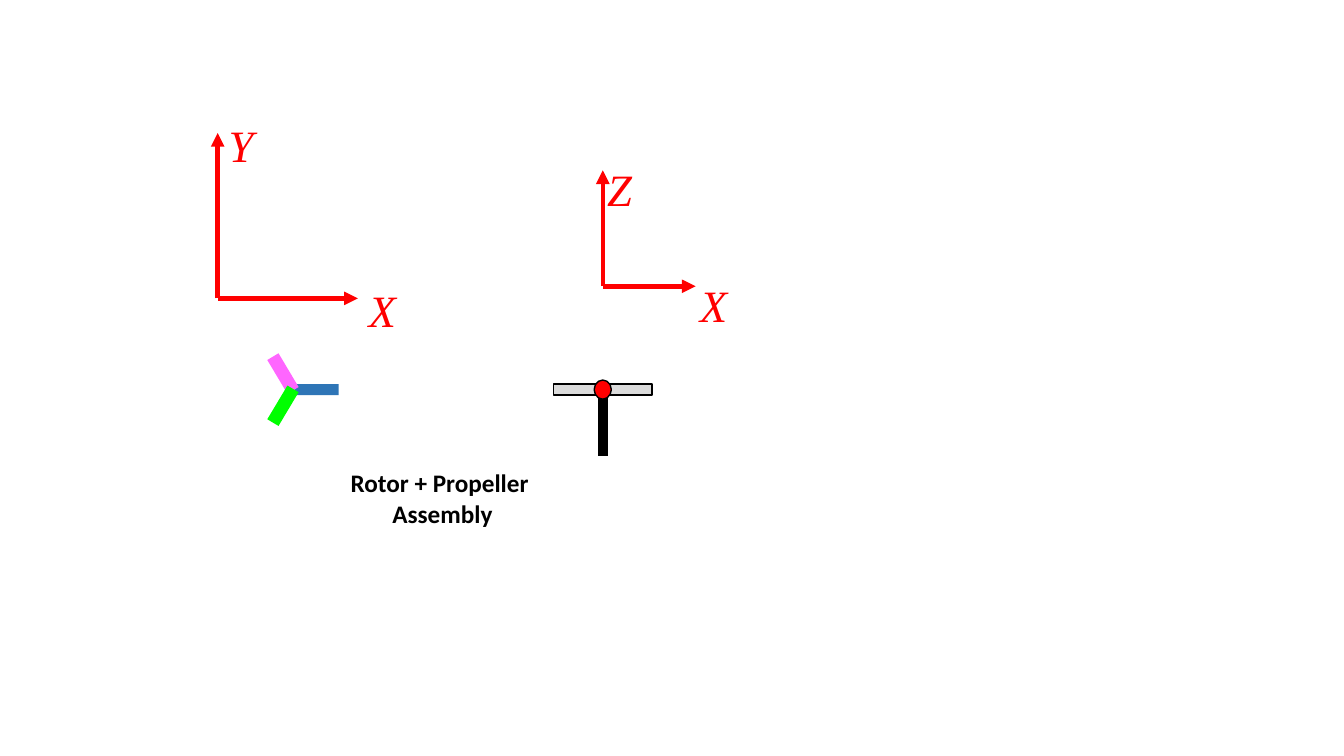
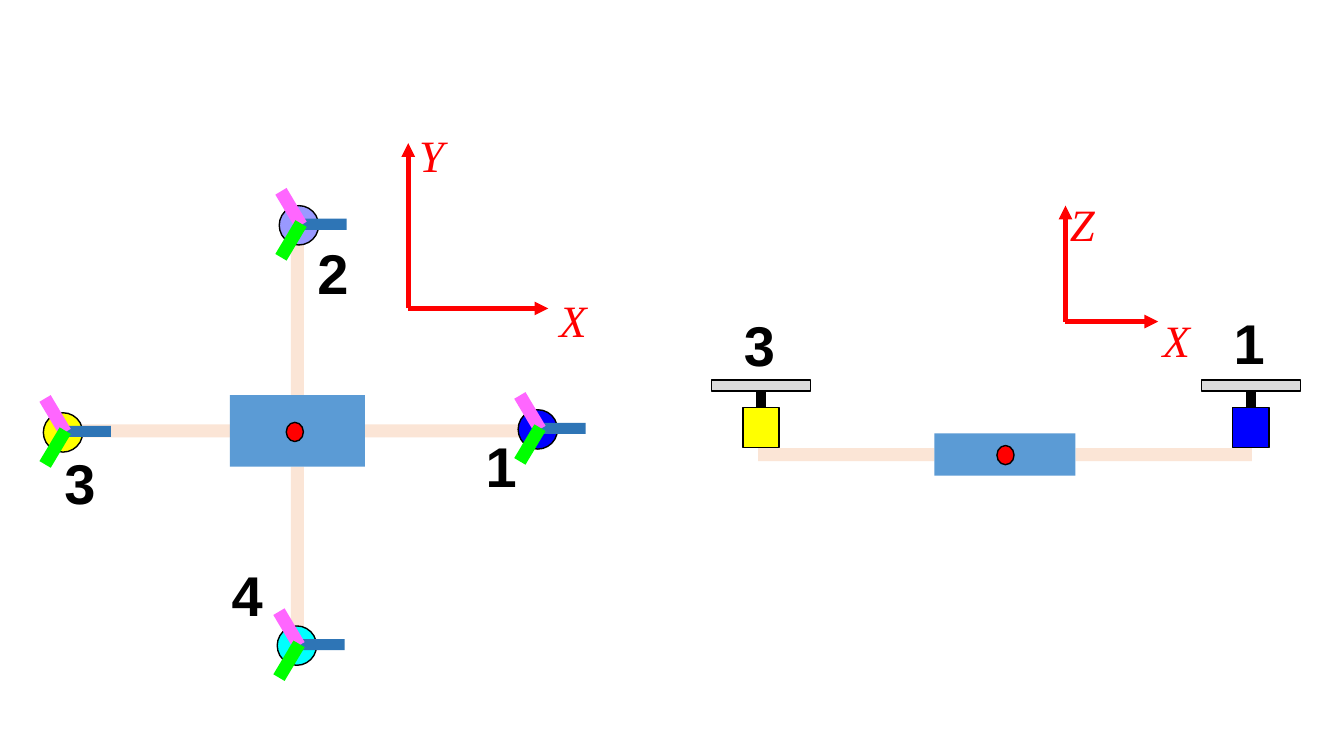
from dataclasses import dataclass, field

from lxml.etree import SubElement
from pptx import Presentation
from pptx.dml.color import RGBColor as Rgb
from pptx.enum.shapes import MSO_CONNECTOR as Connector, MSO_SHAPE as Preset
from pptx.enum.text import MSO_ANCHOR as Anchor, PP_ALIGN as Align
from pptx.oxml.ns import qn
from pptx.util import Inches, Pt

# Grid: square cells, a tenth of an inch wide
COLUMNS, ROWS = 133.33, 75
CELL = Inches(0.1)


def text_style(name, size, color, **weight):
    return dict(name=name, size=Pt(size), color=color, **weight)


@dataclass(frozen=True)
class Theme:
    axis: str = "FF0000"
    outline: str = "000000"
    body: str = "5B9BD5"
    arm: str = "FBE5D6"
    disc: str = "DBDBDB"
    blades: tuple = ("2E75B6", "FF66FF", "00FF00")
    motor: dict = field(default_factory=lambda: {
        1: "0000FF", 2: "9999FF", 3: "FFFF00", 4: "00FFFF"})
    outline_width: float = 1
    axis_width: float = 3.25
    shaft_width: float = 7.25
    axis_text: dict = field(default_factory=lambda: text_style(
        "Times New Roman", 32, "FF0000", italic=True))
    number_text: dict = field(default_factory=lambda: text_style(
        "Arial", 40, "000000", bold=True))
    caption_text: dict = field(default_factory=lambda: text_style(
        "Calibri", 18, "000000", bold=True))


THEME = Theme()
ARM_LENGTH, ARM_WIDTH = 17.5, 1.3


# Basic elements
def cells(*lengths):
    return [round(length * CELL) for length in lengths]


def add_block(shapes, center, size, fill, outlined=False,
              preset=Preset.RECTANGLE, rotation=0):
    (x, y), (width, height) = center, size
    shape = shapes.add_shape(
        preset, *cells(x - width / 2, y - height / 2, width, height))
    shape.shadow.inherit = False
    shape.rotation = rotation
    shape.fill.solid()
    shape.fill.fore_color.rgb = Rgb.from_string(fill)
    if outlined:
        shape.line.color.rgb = Rgb.from_string(THEME.outline)
        shape.line.width = Pt(THEME.outline_width)
    else:
        shape.line.fill.background()
    return shape


def add_line(shapes, start, end, color, width, arrow=False):
    line = shapes.add_connector(Connector.STRAIGHT, *cells(*start, *end))
    line.line.color.rgb = Rgb.from_string(color)
    line.line.width = Pt(width)
    if arrow:
        SubElement(line.line._get_or_add_ln(), qn("a:tailEnd"), type="triangle")
    SubElement(line._element.spPr, qn("a:effectLst"))
    return line


def add_text(shapes, box, lines, style, align=Align.LEFT):
    frame = shapes.add_textbox(*cells(*box)).text_frame
    frame.word_wrap = False
    frame.vertical_anchor = Anchor.TOP
    frame.text = "\n".join(lines)
    for paragraph in frame.paragraphs:
        paragraph.alignment = align
        font = paragraph.runs[0].font
        for name, value in style.items():
            if name == "color":
                font.color.rgb = Rgb.from_string(value)
            else:
                setattr(font, name, value)


# Drone parts
def add_axes(slide, origin, lengths, vertical_name, gap, rise):
    """Two arrows from the origin, each named just beyond its tip."""
    shapes = slide.shapes.add_group_shape().shapes
    (x, y), (across, up) = origin, lengths
    for tip, name in (((x + across, y), "X"), ((x, y - up), vertical_name)):
        add_line(shapes, origin, tip, THEME.axis, THEME.axis_width, arrow=True)
        add_text(shapes, (tip[0] + gap, tip[1] - rise, 4.6, 6.4),
                 [name], THEME.axis_text)


def add_top_axes(slide, origin):
    add_axes(slide, origin, (13.9, 16.4), "Y", gap=0.1, rise=2)


def add_side_axes(slide, origin):
    add_axes(slide, origin, (9.2, 11.5), "Z", gap=-0.55, rise=1.35)


def add_propeller(slide, hub):
    """Three blades around the hub, seen from above."""
    shapes = slide.shapes.add_group_shape().shapes
    blades = (((2.2, 0), (4.4, 1.1), 0),
              ((-1.13, -1.6), (3.9, 1.3), 239.2),
              ((-1.13, 1.6), (3.9, 1.3), 120.8))
    for (offset, size, rotation), color in zip(blades, THEME.blades):
        center = hub[0] + offset[0], hub[1] + offset[1]
        add_block(shapes, center, size, color, rotation=rotation)


def add_motor_from_above(slide, number, center):
    add_block(slide.shapes, center, (3.9, 3.9), THEME.motor[number],
              outlined=True, preset=Preset.OVAL)
    add_propeller(slide, (center[0] + 0.35, center[1] - 0.1))


def add_rotor_from_side(slide, center, shaft_end, motor_number=None):
    """A disc on a shaft, with a motor below if it has a number."""
    x, y = center
    shaft = add_line(slide.shapes, (x, y + 0.15), (x, shaft_end),
                     THEME.outline, THEME.shaft_width)
    if motor_number:
        motor = add_block(slide.shapes, (x, shaft_end + 2), (3.6, 4),
                          THEME.motor[motor_number], outlined=True)
        shaft.end_connect(motor, 0)
    add_block(slide.shapes, center, (9.8, 1.1), THEME.disc, outlined=True)


def add_frame(slide, center, size, directions):
    """A body with one arm from each given side, and a mass center."""
    for across, down in directions:
        arm_center = (center[0] + across * (size[0] + ARM_LENGTH) / 2,
                      center[1] + down * (size[1] + ARM_LENGTH) / 2)
        arm_size = ((ARM_LENGTH, ARM_WIDTH) if across
                    else (ARM_WIDTH, ARM_LENGTH))
        add_block(slide.shapes, arm_center, arm_size, THEME.arm)
    add_block(slide.shapes, center, size, THEME.body)


def add_mass_center(slide, center):
    add_block(slide.shapes, center, (1.7, 1.9), THEME.axis,
              outlined=True, preset=Preset.OVAL)


def add_number(slide, number, left, top):
    add_text(slide.shapes, (left, top, 5.1, 7.7), [str(number)],
             THEME.number_text)


# Slides
def build_rotor_slide(slide):
    rotor = 59.8, 38.65
    add_rotor_from_side(slide, rotor, 45.2)
    add_mass_center(slide, rotor)
    add_propeller(slide, (29.2, 38.65))
    add_top_axes(slide, (21.6, 29.6))
    add_side_axes(slide, (59.8, 28.4))
    add_text(slide.shapes, (33.7, 45.9, 20.4, 7.1),
             ["Rotor + Propeller ", "Assembly"],
             THEME.caption_text, Align.CENTER)


def build_drone_slide(slide):
    left, right, up, down = (-1, 0), (1, 0), (0, -1), (0, 1)

    # View from above
    add_frame(slide, (29.5, 42.75), (13.4, 7.1), (left, right, up, down))
    add_mass_center(slide, (29.25, 42.85))
    motors = {1: (53.35, 42.6), 2: (29.65, 22.35),
              3: (6.25, 42.9), 4: (29.45, 64.05)}
    for number, center in motors.items():
        add_motor_from_above(slide, number, center)
    add_top_axes(slide, (40.5, 30.6))

    # View from the side
    add_frame(slide, (99.7, 45.1), (14, 4.2), (left, right))
    add_mass_center(slide, (99.75, 45.15))
    for number, x in ((1, 124.1), (3, 75.5)):
        add_rotor_from_side(slide, (x, 38.25), 40.4, number)
    add_side_axes(slide, (105.7, 31.9))

    # Motor numbers in both views
    for number, x, y in ((1, 47.2, 42.3), (2, 30.5, 23.2), (3, 5.4, 44),
                         (4, 22, 55.1), (3, 72.8, 30.3), (1, 121.4, 30.1)):
        add_number(slide, number, x, y)


def main():
    presentation = Presentation()
    presentation.slide_width, presentation.slide_height = cells(COLUMNS, ROWS)
    blank = presentation.slide_layouts[6]
    for build in (build_rotor_slide, build_drone_slide):
        build(presentation.slides.add_slide(blank))
    presentation.save("out.pptx")


if __name__ == "__main__":
    main()
